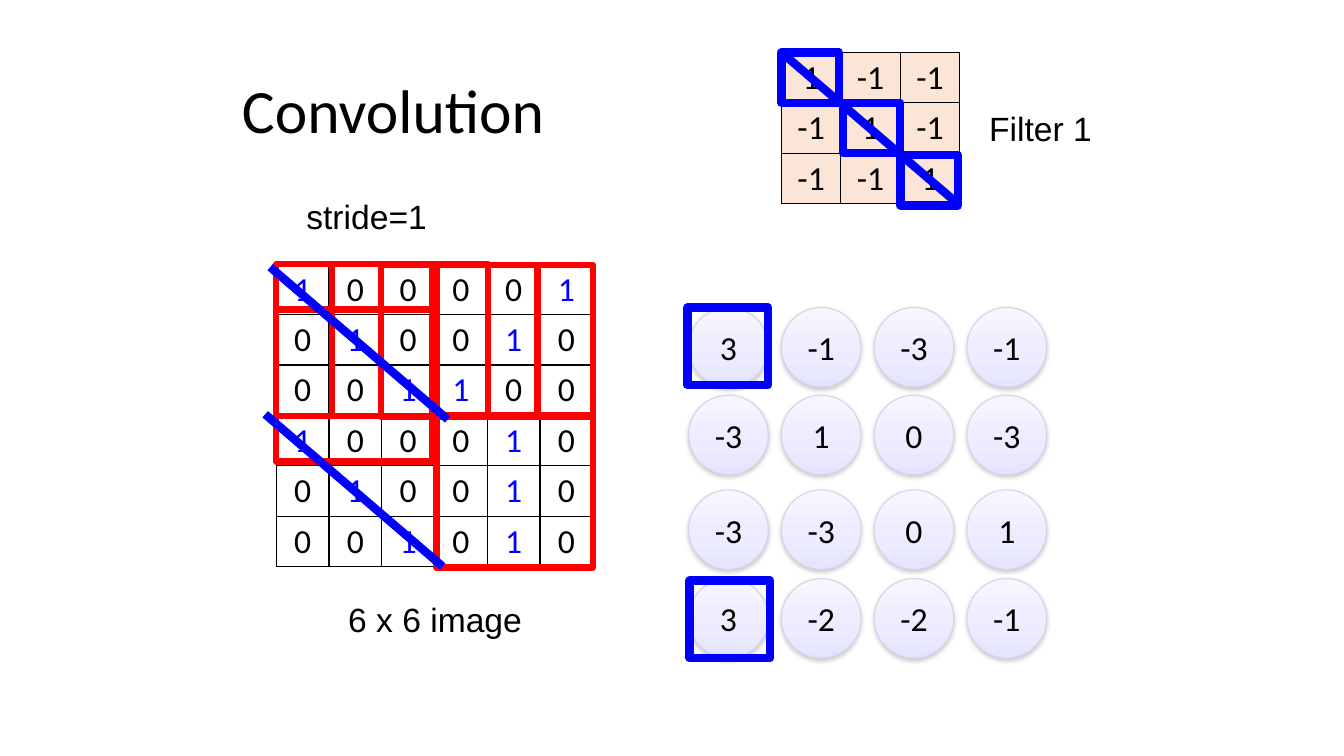
from copy import deepcopy

from lxml import etree
from pptx import Presentation
from pptx.dml.color import RGBColor
from pptx.enum.shapes import MSO_CONNECTOR, MSO_SHAPE
from pptx.enum.text import MSO_ANCHOR, PP_ALIGN
from pptx.oxml.ns import qn
from pptx.util import Inches, Pt

RECTANGLE, ELLIPSE = MSO_SHAPE.RECTANGLE, MSO_SHAPE.OVAL
STRAIGHT = MSO_CONNECTOR.STRAIGHT
LEFT, CENTER = PP_ALIGN.LEFT, PP_ALIGN.CENTER
TOP, MIDDLE = MSO_ANCHOR.TOP, MSO_ANCHOR.MIDDLE

COLORS = {
    "black": "000000", "blue": "0000FF", "red": "FF0000", "peach": "FBE5D6",
    "circle_top": "F7F6FF", "circle_middle": "ECEBFF", "circle_bottom": "E5E3FF",
    "circle_edge": "D4D3E7", "shadow": "808080",
}
CIRCLE_STOPS = [(0, "circle_top"), (0.65, "circle_middle"), (1, "circle_bottom")]

IMAGE = ["100001", "010010", "001100", "100010", "010010", "001010"]
FILTER = [[1, -1, -1], [-1, 1, -1], [-1, -1, 1]]
FEATURE_MAP = [[3, -1, -3, -1], [-3, 1, 0, -3], [-3, -3, 0, 1], [3, -2, -2, -1]]


def rgb(name):
    return RGBColor.from_string(COLORS[name])


class ConvolutionSlide:
    body_font, label_font, size = "Calibri", "Arial", 24

    def __init__(self, slide):
        self.slide = slide

    def add_text_run(self, paragraph, text, font, color="black", size=size,
                     align=CENTER):
        paragraph.alignment = align
        run = paragraph.add_run()
        run.text = text
        run.font.name = font
        run.font.size = Pt(size)
        run.font.color.rgb = rgb(color)

    def text(self, box, text, font=label_font, size=size, align=CENTER,
             anchor=TOP, wrap=True, inset=0.1, spacing=1.0):
        frame = self.slide.shapes.add_textbox(*map(Inches, box)).text_frame
        frame.word_wrap = wrap
        frame.vertical_anchor = anchor
        frame.margin_left = frame.margin_right = Inches(inset)
        paragraph = frame.paragraphs[0]
        paragraph.line_spacing = spacing
        self.add_text_run(paragraph, text, font, size=size, align=align)

    def borders(self, cell):
        properties = cell._tc.get_or_add_tcPr()
        for side in ("lnL", "lnR", "lnT", "lnB"):
            line = etree.SubElement(properties, qn(f"a:{side}"), w=str(Pt(1)))
            fill = etree.SubElement(line, qn("a:solidFill"))
            etree.SubElement(fill, qn("a:srgbClr"), val=COLORS["black"])

    def table(self, box, values, fill=None, one_color="black"):
        table = self.slide.shapes.add_table(
            len(values), len(values[0]), *map(Inches, box)).table
        table.first_row = table.horz_banding = False
        for row, row_values in enumerate(values):
            for column, value in enumerate(row_values):
                cell = table.cell(row, column)
                self.borders(cell)
                if fill:
                    cell.fill.solid()
                    cell.fill.fore_color.rgb = rgb(fill)
                else:
                    cell.fill.background()
                color = one_color if str(value) == "1" else "black"
                self.add_text_run(cell.text_frame.paragraphs[0], str(value),
                                  self.body_font, color)

    def frame(self, left, top, width, height, color, weight):
        shape = self.slide.shapes.add_shape(
            RECTANGLE, *map(Inches, (left, top, width, height)))
        shape.shadow.inherit = False
        shape.fill.background()
        shape.line.color.rgb = rgb(color)
        shape.line.width = Pt(weight)

    def circle(self, left, top, diameter, value):
        shape = self.slide.shapes.add_shape(
            ELLIPSE, *map(Inches, (left, top, diameter, diameter)))
        shape.line.color.rgb = rgb("circle_edge")
        shape.line.width = Pt(0.75)

        # Three-stop gradient, running downwards
        shape.fill.gradient()
        shape.fill.gradient_angle = 270
        properties = shape._element.spPr
        stop_list = properties.find(f"{qn('a:gradFill')}/{qn('a:gsLst')}")
        stop_list.append(deepcopy(stop_list[-1]))
        for stop, (position, color) in zip(shape.fill.gradient_stops, CIRCLE_STOPS):
            stop.position = position
            stop.color.rgb = rgb(color)

        # Soft shadow below
        shape.shadow.inherit = False
        shadow = etree.SubElement(
            properties.find(qn("a:effectLst")), qn("a:outerShdw"),
            blurRad=str(Pt(3.1)), dist=str(Pt(1.6)), dir="5400000", rotWithShape="0")
        color = etree.SubElement(shadow, qn("a:srgbClr"), val=COLORS["shadow"])
        etree.SubElement(color, qn("a:alpha"), val="38000")

        shape.text_frame.vertical_anchor = MIDDLE
        self.add_text_run(shape.text_frame.paragraphs[0], str(value), self.body_font)

    def diagonal(self, left, top, width=1.76, height=1.51):
        line = self.slide.shapes.add_connector(
            STRAIGHT, *map(Inches, (left, top, left + width, top + height)))
        line.line.color.rgb = rgb("blue")
        line.line.width = Pt(6)
        etree.SubElement(line._element.spPr, qn("a:effectLst"))


def main():
    presentation = Presentation()
    presentation.slide_width = Inches(13.33)
    presentation.slide_height = Inches(7.5)
    page = ConvolutionSlide(
        presentation.slides.add_slide(presentation.slide_layouts[6]))

    # Title, tables and labels
    page.text((2.35, 0.4, 8.62, 1.45), "Convolution", page.body_font, 44,
              LEFT, MIDDLE, inset=0.05, spacing=0.9)
    page.table((2.74, 2.62, 3.14, 3), IMAGE, one_color="blue")
    page.text((3.03, 5.89, 2.57, 0.5), "6 x 6 image")
    page.table((7.75, 0.52, 1.77, 1.5), FILTER, fill="peach")
    page.text((9.53, 1.02, 1.58, 0.51), "Filter 1")
    page.text((2.94, 1.89, 1.41, 0.5), "stride=1", align=LEFT, wrap=False)

    # Feature map
    for top, values in zip((3.05, 3.92, 4.86, 5.74), FEATURE_MAP):
        for column, value in enumerate(values):
            page.circle(6.83 + 0.92 * column, top, 0.79, value)

    # Filter positions on the image
    for left, top in ((2.74, 2.62), (3.29, 2.62), (3.78, 2.63),
                      (4.33, 2.63), (2.74, 3.07), (4.33, 4.12)):
        page.frame(left, top, 1.55, 1.51, "red", 4.5)

    # Filter diagonal and the matching results
    for left, top in ((7.75, 0.52), (8.36, 1.02), (8.93, 1.54)):
        page.frame(left, top, 0.57, 0.5, "blue", 6)
    for left, top in ((6.82, 3.05), (6.84, 5.76)):
        page.frame(left, top, 0.8, 0.77, "blue", 6)
    for left, top in ((7.75, 0.52), (2.68, 2.65), (2.63, 4.11)):
        page.diagonal(left, top)

    presentation.save("out.pptx")


if __name__ == "__main__":
    main()
